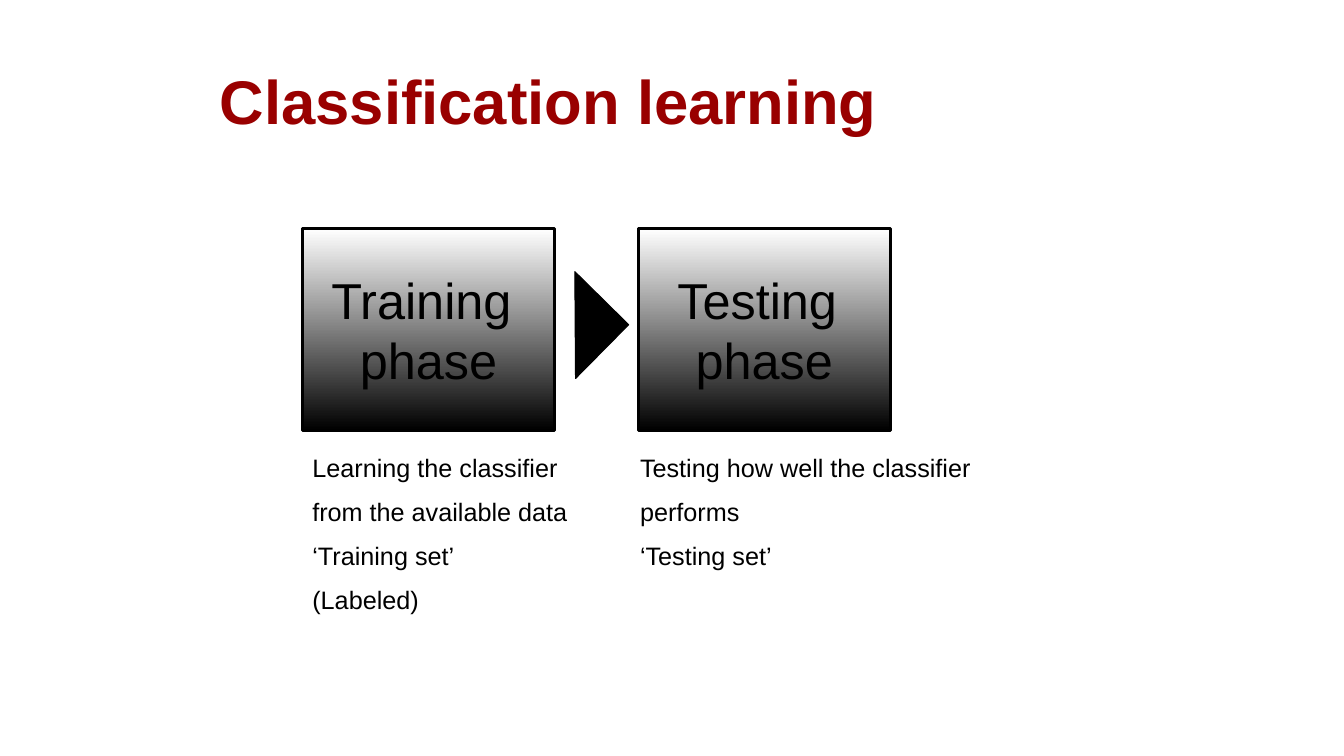
import dataclasses
import pptx
import pptx.dml.color
import pptx.enum.shapes
import pptx.enum.text
import pptx.util

SHAPE = pptx.enum.shapes.MSO_SHAPE
ANCHOR = pptx.enum.text.MSO_ANCHOR
ALIGN = pptx.enum.text.PP_ALIGN
AUTO_SIZE = pptx.enum.text.MSO_AUTO_SIZE
EMU_PER_PX = 9144


@dataclasses.dataclass(frozen=True)
class Theme:
    font: str = "Arial"
    red: str = "990000"
    black: str = "000000"
    white: str = "FFFFFF"
    title_size: int = 44
    phase_size: int = 36
    note_size: int = 18
    note_gap: float = 9.7


THEME = Theme()


def px(length):
    return pptx.util.Emu(length * EMU_PER_PX)


def rgb(value):
    return pptx.dml.color.RGBColor.from_string(value)


def write_lines(frame, lines, size, color=THEME.black, align=ALIGN.LEFT):
    for index, line in enumerate(lines):
        paragraph = frame.paragraphs[0] if index == 0 else frame.add_paragraph()
        paragraph.text = line
        paragraph.alignment = align
        paragraph.font.name = THEME.font
        paragraph.font.size = pptx.util.Pt(size)
        paragraph.font.color.rgb = rgb(color)


def add_title(slide, text, left, top, width, height):
    title = slide.shapes.title
    title.left, title.top = px(left), px(top)
    title.width, title.height = px(width), px(height)
    frame = title.text_frame
    frame.vertical_anchor = ANCHOR.MIDDLE
    write_lines(frame, [text], THEME.title_size, THEME.red)
    frame.paragraphs[0].font.bold = True
    frame.paragraphs[0].line_spacing = 0.9


def add_outlined_shape(slide, kind, left, top, width, height, line_width):
    shape = slide.shapes.add_shape(kind, px(left), px(top), px(width), px(height))
    shape.shadow.inherit = False
    shape.line.color.rgb = rgb(THEME.black)
    shape.line.width = pptx.util.Pt(line_width)
    return shape


def add_phase(slide, lines, left):
    box = add_outlined_shape(slide, SHAPE.RECTANGLE, left, 227, 250, 200, 2.25)
    box.fill.gradient()
    box.fill.gradient_angle = 270
    for stop, color, position in zip(
        box.fill.gradient_stops, (THEME.white, THEME.black), (0, 1)
    ):
        stop.color.rgb = rgb(color)
        stop.position = position
    frame = box.text_frame
    frame.word_wrap = False
    frame.vertical_anchor = ANCHOR.MIDDLE
    write_lines(frame, lines, THEME.phase_size, align=ALIGN.CENTER)


def add_pointer(slide, left, top, side):
    pointer = add_outlined_shape(
        slide, SHAPE.RIGHT_TRIANGLE, left, top, side, side, 0.75
    )
    pointer.rotation = 224.6
    pointer.fill.solid()
    pointer.fill.fore_color.rgb = rgb(THEME.black)


def add_note(slide, lines, left):
    note = slide.shapes.add_textbox(px(left), px(444), px(450), px(176))
    frame = note.text_frame
    frame.word_wrap = True
    frame.auto_size = AUTO_SIZE.SHAPE_TO_FIT_TEXT
    write_lines(frame, lines, THEME.note_size)
    for paragraph in frame.paragraphs:
        paragraph.space_before = pptx.util.Pt(THEME.note_gap)


def main():
    presentation = pptx.Presentation()
    presentation.slide_width = px(1333)
    presentation.slide_height = px(750)
    slide = presentation.slides.add_slide(presentation.slide_layouts[5])

    add_title(slide, "Classification learning", 208, 41, 900, 125)
    add_phase(slide, ["Training ", "phase"], 300)
    add_pointer(slide, 533, 285, 75)
    add_phase(slide, ["Testing ", "phase"], 633)
    add_note(
        slide,
        [
            "Learning the classifier",
            "from the available data",
            "‘Training set’",
            "(Labeled)",
        ],
        300,
    )
    add_note(
        slide,
        ["Testing how well the classifier", "performs", "‘Testing set’"],
        625,
    )
    presentation.save("out.pptx")


if __name__ == "__main__":
    main()
